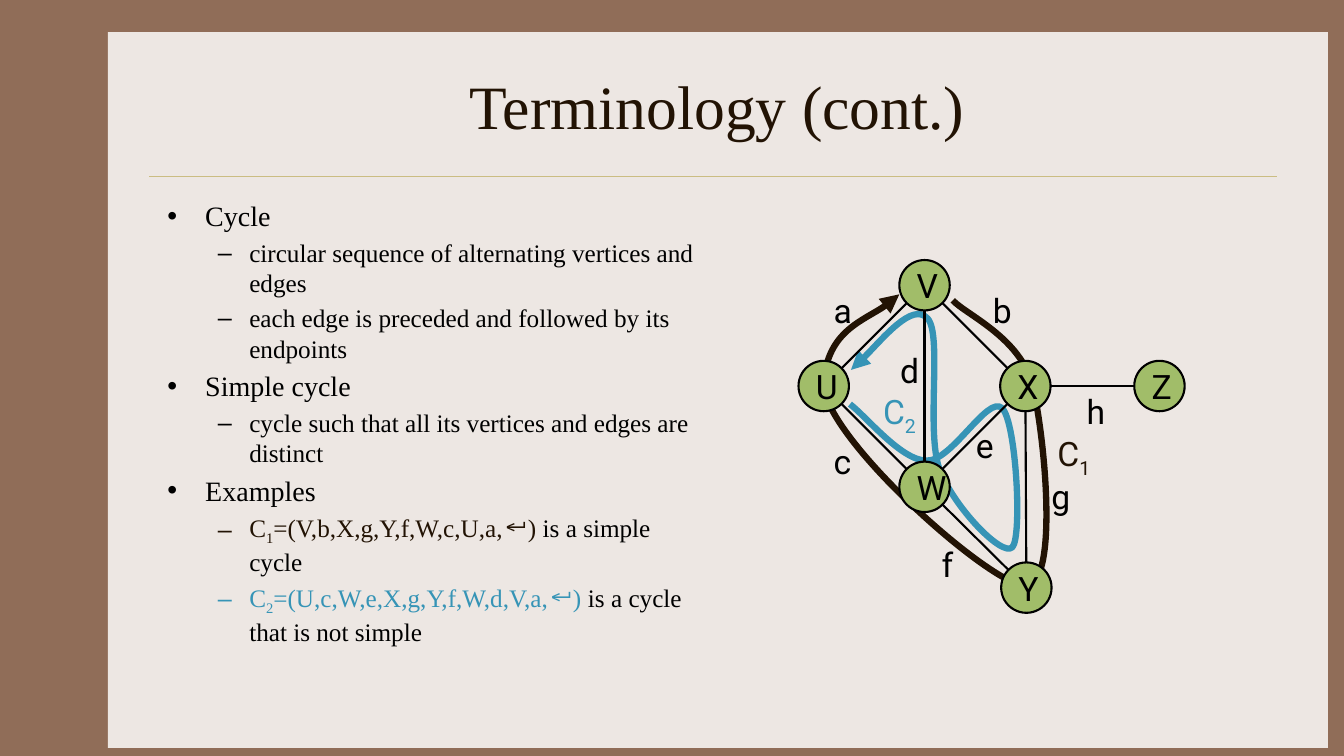
import math

import lxml.etree
import pptx
import pptx.dml.color
import pptx.enum.shapes
import pptx.enum.text
import pptx.oxml.ns
import pptx.util

Inches = pptx.util.Inches
qn = pptx.oxml.ns.qn
DARK, BLUE, BLACK, GREEN = "221304", "3694B6", "000000", "A1BD69"
SERIF, SANS = "Times New Roman", "Roboto"
RADIUS = 0.25
NODES = {
    "X": (10.17, 3.83), "U": (8.17, 3.83), "V": (9.17, 2.83),
    "W": (9.17, 4.83), "Z": (11.5, 3.83), "Y": (10.18, 5.83),
}
EDGES = ["VU", "WU", "WX", "XZ", "VX", "VW", "WY", "XY"]
LABELS = {
    "a": (8.17, 2.83, 0.38), "c": (8.17, 4.33, 0.36), "b": (9.75, 2.83, 0.39),
    "e": (9.58, 4.17, 0.38), "d": (8.83, 3.42, 0.39), "f": (9.24, 5.35, 0.31),
    "g": (10.33, 4.67, 0.39), "h": (10.68, 3.83, 0.39),
}
CYCLE_1 = [
    (9.45, 2.98), (9.58, 3.12), (10.12, 3.35), (10.24, 3.82),
    (10.36, 4.3), (10.51, 5.82), (10.17, 5.81),
    (9.82, 5.81), (8.13, 4.3), (8.17, 3.79),
    (8.21, 3.28), (8.76, 3.1), (8.92, 2.92),
]
CYCLE_2 = [
    (8.43, 4.01), (8.59, 4.13), (8.94, 4.57), (9.19, 4.57),
    (9.44, 4.58), (9.8, 3.91), (9.94, 4.05),
    (10.08, 4.19), (10.14, 5.33), (10.04, 5.43),
    (9.94, 5.53), (9.46, 5.03), (9.32, 4.66),
    (9.18, 4.28), (9.35, 3.32), (9.2, 3.16),
    (9.05, 2.99), (8.56, 3.58), (8.44, 3.67),
]
BODY = [
    (0, [("Cycle", BLACK)]),
    (1, [("circular sequence of alternating vertices and edges", BLACK)]),
    (1, [("each edge is preceded and followed by its endpoints", BLACK)]),
    (0, [("Simple cycle", BLACK)]),
    (1, [("cycle such that all its vertices and edges are distinct", BLACK)]),
    (0, [("Examples", BLACK)]),
    (1, [("C", DARK), ("1", DARK, True), ("=(V,b,X,g,Y,f,W,c,U,a,↵)", DARK),
         (" is a simple cycle", BLACK)]),
    (1, [("C", BLUE), ("2", BLUE, True), ("=(U,c,W,e,X,g,Y,f,W,d,V,a,↵)", BLUE),
         (" is a cycle that is not simple", BLACK)]),
]


def rgb(value):
    """Return the colour for a hex string."""
    return pptx.dml.color.RGBColor.from_string(value)


def assign(obj, values):
    """Set attributes of an object from a dict."""
    for name, value in values.items():
        setattr(obj, name, value)


def add_run(p, text, colour, sub=False, size=24, font=SANS):
    """Append a formatted run, lowered when it is a subscript."""
    r = p.add_run()
    r.text = text
    assign(r.font, {"size": pptx.util.Pt(size), "name": font})
    r.font.color.rgb = rgb(colour)
    if sub:
        r.font._element.set("baseline", "-25000")


def set_line(obj, colour, width):
    """Format an outline."""
    obj.line.color.rgb = rgb(colour)
    obj.line.width = pptx.util.Pt(width)


def place(sp, left, top, width, height):
    """Move and size a shape, with lengths in inches."""
    assign(sp, {"left": Inches(left), "top": Inches(top),
                "width": Inches(width), "height": Inches(height)})


def add_shape(slide, kind, box, fill):
    """Add a flat preset shape."""
    sp = slide.shapes.add_shape(kind, *map(Inches, box))
    sp.shadow.inherit = False
    sp.fill.solid()
    sp.fill.fore_color.rgb = rgb(fill)
    return sp


def add_line(slide, start, end, colour, width):
    """Add a straight line without shadow."""
    ends = map(Inches, (*start, *end))
    line = slide.shapes.add_connector(pptx.enum.shapes.MSO_CONNECTOR.STRAIGHT, *ends)
    set_line(line, colour, width)
    lxml.etree.SubElement(line._element.spPr, qn("a:effectLst"))


def add_node(slide, name, x, y):
    """Add a graph vertex centred on a point."""
    box = (x - RADIUS, y - RADIUS, 2 * RADIUS, 2 * RADIUS)
    sp = add_shape(slide, pptx.enum.shapes.MSO_SHAPE.OVAL, box, GREEN)
    set_line(sp, BLACK, 1.5)
    tf = sp.text_frame
    assign(tf, {"word_wrap": False, "vertical_anchor": pptx.enum.text.MSO_ANCHOR.MIDDLE})
    tf.paragraphs[0].alignment = pptx.enum.text.PP_ALIGN.LEFT
    add_run(tf.paragraphs[0], name, BLACK)


def add_edge(slide, start, end):
    """Join the rims of two vertices."""
    (x1, y1), (x2, y2) = start, end
    length = math.hypot(x2 - x1, y2 - y1)
    dx, dy = (x2 - x1) / length * RADIUS, (y2 - y1) / length * RADIUS
    add_line(slide, (x1 + dx, y1 + dy), (x2 - dx, y2 - dy), BLACK, 1.5)


def add_curve(slide, points, colour):
    """Add a Bézier curve that ends in an arrowhead."""
    first, *rest = [(Inches(x), Inches(y)) for x, y in points]
    builder = slide.shapes.build_freeform(*first)
    builder.add_line_segments(rest, close=False)
    sp = builder.convert_to_shape()
    sp.shadow.inherit = False
    sp.fill.background()
    set_line(sp, colour, 4.5)
    spPr = sp._element.spPr
    lines = list(spPr.iter(qn("a:lnTo")))
    route = lines[0].getparent()
    for i in range(0, len(lines), 3):
        curve = lxml.etree.SubElement(route, qn("a:cubicBezTo"))
        for segment in lines[i:i + 3]:
            curve.append(segment[0])
            route.remove(segment)
    lxml.etree.SubElement(spPr.find(qn("a:ln")), qn("a:tailEnd"), type="triangle")


def add_label(slide, box, runs):
    """Add an unwrapped text label."""
    tf = slide.shapes.add_textbox(*map(Inches, box)).text_frame
    assign(tf, {"word_wrap": False,
                "auto_size": pptx.enum.text.MSO_AUTO_SIZE.SHAPE_TO_FIT_TEXT})
    for run in runs:
        add_run(tf.paragraphs[0], *run)


def add_cycle_label(slide, left, top, number, colour):
    """Add a cycle name with room for its subscript."""
    add_label(slide, (left, top, 0.6, 0.5), [("C", colour), (number, colour, True)])


def fill_title(sp, text):
    """Fill and place the title."""
    place(sp, 1.56, 0.42, 11.11, 1.25)
    tf = sp.text_frame
    assign(tf, {"auto_size": pptx.enum.text.MSO_AUTO_SIZE.NONE,
                "vertical_anchor": pptx.enum.text.MSO_ANCHOR.MIDDLE})
    tf.paragraphs[0].alignment = pptx.enum.text.PP_ALIGN.CENTER
    add_run(tf.paragraphs[0], text, DARK, size=44, font=SERIF)


def fill_body(sp, items):
    """Fill and place the two-level list."""
    place(sp, 1.56, 1.92, 5.44, 4.5)
    tf = sp.text_frame
    tf.auto_size = pptx.enum.text.MSO_AUTO_SIZE.NONE
    for i, (level, runs) in enumerate(items):
        p = tf.add_paragraph() if i else tf.paragraphs[0]
        p.level = level
        if i == 0:
            p.space_before = pptx.util.Pt(0)
        for run in runs:
            add_run(p, *run, size=18 if level else 20, font=SERIF)


def main():
    """Build and save the slide."""
    prs = pptx.Presentation()
    assign(prs, {"slide_width": Inches(13.33), "slide_height": Inches(7.5)})
    slide = prs.slides.add_slide(prs.slide_layouts[1])
    slide.background.fill.solid()
    slide.background.fill.fore_color.rgb = rgb("906D58")
    panel = add_shape(slide, pptx.enum.shapes.MSO_SHAPE.RECTANGLE,
                      (1.07, 0.32, 12.1, 7.1), "EDE7E3")
    panel.line.fill.background()
    slide.shapes._spTree.insert(2, panel._element)
    add_line(slide, (1.48, 1.75), (12.67, 1.75), "CBBD83", 0.25)
    fill_title(slide.shapes.title, "Terminology (cont.)")
    fill_body(slide.placeholders[1], BODY)
    add_curve(slide, CYCLE_1, DARK)
    add_curve(slide, CYCLE_2, BLUE)
    for name, centre in NODES.items():
        add_node(slide, name, *centre)
    for start, end in EDGES:
        add_edge(slide, NODES[start], NODES[end])
    for name, (left, top, width) in LABELS.items():
        add_label(slide, (left, top, width, 0.5), [(name, BLACK)])
    add_cycle_label(slide, 10.39, 4.25, "1", DARK)
    add_cycle_label(slide, 8.66, 3.83, "2", BLUE)
    prs.save("out.pptx")


if __name__ == "__main__":
    main()
